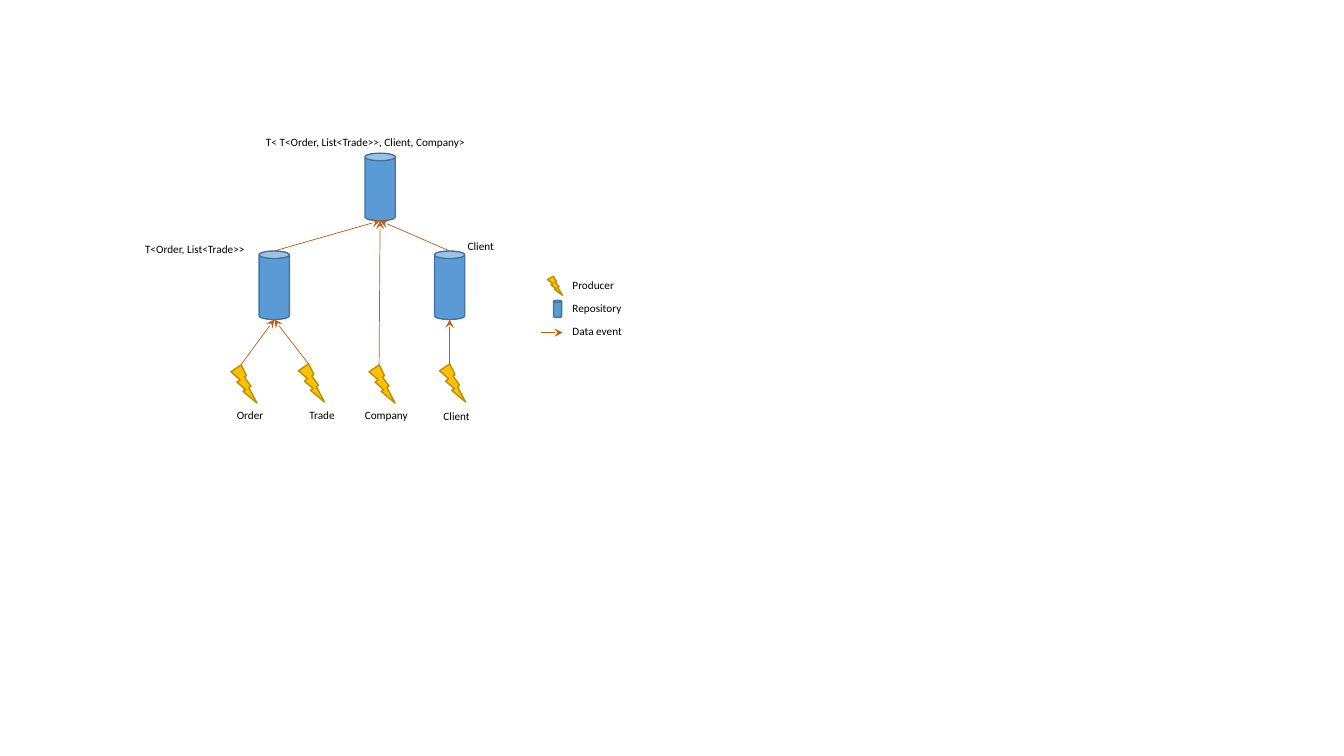
from pptx import Presentation
from pptx.dml.color import RGBColor
from pptx.enum.shapes import MSO_CONNECTOR, MSO_SHAPE
from pptx.enum.text import MSO_AUTO_SIZE
from pptx.oxml.ns import qn
from pptx.util import Inches, Pt
from lxml.etree import SubElement

COLORS = {
    "repository": "5B9BD5",
    "repository_edge": "43739E",
    "producer": "FFC000",
    "producer_edge": "BD8E00",
    "event": "C55A11",
    "text": "000000",
}
REPOSITORY_WIDTH, REPOSITORY_HEIGHT = 0.3, 0.68
PRODUCER_WIDTH, PRODUCER_HEIGHT = 0.26, 0.38
BOLT_TIP = 0.1  # from the left edge of a bolt to its upper tip


def color(name):
    return RGBColor.from_string(COLORS[name])


def add_symbol(slide, preset, role, left, top, width, height):
    symbol = slide.shapes.add_shape(
        preset, Inches(left), Inches(top), Inches(width), Inches(height))
    symbol.shadow.inherit = False
    symbol.fill.solid()
    symbol.fill.fore_color.rgb = color(role)
    symbol.line.color.rgb = color(f"{role}_edge")
    symbol.line.width = Pt(1)


def add_repository(slide, left, top,
                   width=REPOSITORY_WIDTH, height=REPOSITORY_HEIGHT):
    """Draw a can and return the middles of its top and bottom."""
    add_symbol(slide, MSO_SHAPE.CAN, "repository", left, top, width, height)
    middle = left + width / 2
    return (middle, top), (middle, top + height)


def add_producer(slide, left, top,
                 width=PRODUCER_WIDTH, height=PRODUCER_HEIGHT):
    """Draw a bolt and return the point where its events start."""
    add_symbol(slide, MSO_SHAPE.LIGHTNING_BOLT, "producer",
               left, top, width, height)
    return left + BOLT_TIP, top


def add_event(slide, start, end):
    event = slide.shapes.add_connector(
        MSO_CONNECTOR.STRAIGHT, *(Inches(length) for length in (*start, *end)))
    event.line.color.rgb = color("event")
    event.line.width = Pt(0.5)
    SubElement(event.line._get_or_add_ln(), qn("a:tailEnd"), type="stealth")
    SubElement(event._element.spPr, qn("a:effectLst"))


def add_label(slide, text, left, top, width):
    label = slide.shapes.add_textbox(
        Inches(left), Inches(top), Inches(width), Inches(0.24))
    frame = label.text_frame
    frame.word_wrap = True
    frame.auto_size = MSO_AUTO_SIZE.SHAPE_TO_FIT_TEXT
    paragraph = frame.paragraphs[0]
    paragraph.text = text
    paragraph.font.name = "Calibri"
    paragraph.font.size = Pt(8)
    paragraph.font.color.rgb = color("text")


def add_tree(slide):
    joined_top, joined_bottom = add_repository(slide, 3.62, 1.52, height=0.67)
    trades_top, trades_bottom = add_repository(slide, 2.57, 2.49)
    client_top, client_bottom = add_repository(slide, 4.31, 2.49)

    add_label(slide, "T< T<Order, List<Trade>>, Client, Company>",
              2.54, 1.29, 3.37)
    add_label(slide, "T<Order, List<Trade>>", 1.34, 2.36, 2.03)
    add_label(slide, "Client", 4.54, 2.33, 0.61)

    producers = [
        # name, bolt left and top, label left, top and width, event target
        ("Order", 2.29, 3.62, 2.25, 4, 0.61, trades_bottom),
        ("Trade", 2.96, 3.61, 2.97, 4, 0.63, trades_bottom),
        ("Company", 3.66, 3.62, 3.52, 4, 0.8, joined_bottom),
        ("Client", 4.36, 3.61, 4.3, 4.01, 0.65, client_bottom),
    ]
    for name, left, top, label_left, label_top, label_width, target in producers:
        add_event(slide, add_producer(slide, left, top), target)
        add_label(slide, name, label_left, label_top, label_width)

    for repository_top in (trades_top, client_top):
        add_event(slide, repository_top, joined_bottom)


def add_legend(slide):
    add_producer(slide, 5.43, 2.74, 0.15, 0.19)
    add_repository(slide, 5.49, 2.98, 0.08, 0.17)
    add_event(slide, (5.37, 3.3), (5.58, 3.3))
    for row, meaning in enumerate(("Producer", "Repository", "Data event")):
        add_label(slide, meaning, 5.58, 2.71 + 0.23 * row, 0.87)


def main():
    deck = Presentation()
    deck.slide_width, deck.slide_height = Inches(13.33), Inches(7.5)
    slide = deck.slides.add_slide(deck.slide_layouts[6])
    add_tree(slide)
    add_legend(slide)
    deck.save("out.pptx")


if __name__ == "__main__":
    main()
